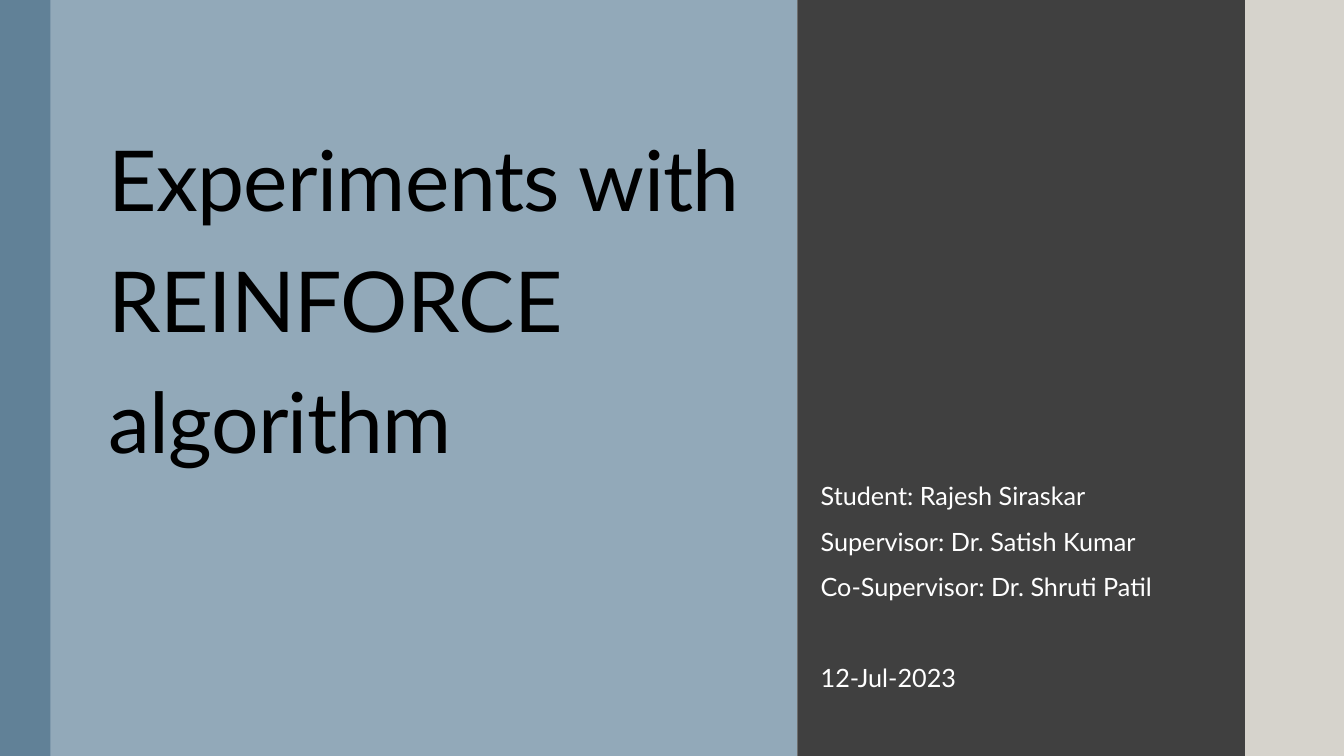
from dataclasses import dataclass, field

from pptx import Presentation
from pptx.dml.color import RGBColor
from pptx.enum.shapes import MSO_SHAPE as Preset
from pptx.enum.text import MSO_ANCHOR as Anchor, MSO_AUTO_SIZE as AutoSize
from pptx.slide import Slide
from pptx.util import Inches, Pt

PAGE_WIDTH, PAGE_HEIGHT = 13.33, 7.5
FONT = "Lato"


@dataclass
class Band:
    left: float
    right: float
    fill: str


@dataclass
class TextBlock:
    left: float
    top: float
    width: float
    height: float
    lines: list[str]
    size: float
    color: str
    line_spacing: float
    frame_format: dict = field(default_factory=dict)
    tracking: float = 0  # points
    last_gap: float = 0  # points above the last line


BANDS = [
    Band(0, 7.91, "92A9B9"),
    Band(0, 0.5, "618197"),
    Band(7.91, 12.35, "404040"),
    Band(12.35, PAGE_WIDTH, "D6D3CC"),
]

TITLE = TextBlock(
    0.98, 1.02, 6.63, 3.77,
    ["Experiments with REINFORCE algorithm"],
    60, "000000", 1.2, tracking=-0.5,
)

DETAILS = TextBlock(
    7.91, 4.57, 4.44, 2.32,
    [
        "Student: Rajesh Siraskar",
        "Supervisor: Dr. Satish Kumar",
        "Co-Supervisor: Dr. Shruti Patil",
        "12-Jul-2023",
    ],
    18, "FFFFFF", 1.5,
    frame_format={
        "margin_left": Inches(0.23),
        "auto_size": AutoSize.SHAPE_TO_FIT_TEXT,
    },
    last_gap=32.4,
)


def rgb(value: str) -> RGBColor:
    return RGBColor.from_string(value)


def apply_format(target: object, values: dict) -> None:
    for name, value in values.items():
        setattr(target, name, value)


def draw_band(page: Slide, band: Band) -> None:
    shape = page.shapes.add_shape(
        Preset.RECTANGLE, Inches(band.left), 0,
        Inches(band.right - band.left), Inches(PAGE_HEIGHT),
    )
    shape.shadow.inherit = False
    shape.fill.solid()
    shape.fill.fore_color.rgb = rgb(band.fill)
    shape.line.fill.background()


def draw_text(page: Slide, block: TextBlock) -> None:
    box = page.shapes.add_textbox(
        Inches(block.left), Inches(block.top),
        Inches(block.width), Inches(block.height),
    )
    frame = box.text_frame
    apply_format(frame, {
        "word_wrap": True, "vertical_anchor": Anchor.TOP, **block.frame_format,
    })
    for index, line in enumerate(block.lines):
        para = frame.add_paragraph() if index else frame.paragraphs[0]
        para.line_spacing = block.line_spacing
        span = para.add_run()
        span.text = line
        apply_format(span.font, {"name": FONT, "size": Pt(block.size)})
        span.font.color.rgb = rgb(block.color)
        if block.tracking:
            span._r.get_or_add_rPr().set("spc", str(round(block.tracking * 100)))
    if block.last_gap:
        frame.paragraphs[-1].space_before = Pt(block.last_gap)


def main() -> None:
    deck = Presentation()
    deck.slide_width, deck.slide_height = Inches(PAGE_WIDTH), Inches(PAGE_HEIGHT)
    page = deck.slides.add_slide(deck.slide_layouts[6])

    # Background and vertical bands
    page.background.fill.solid()
    page.background.fill.fore_color.rgb = rgb("DCD7CC")
    for band in BANDS:
        draw_band(page, band)

    # Title, then people and date
    for block in (TITLE, DETAILS):
        draw_text(page, block)

    deck.save("out.pptx")


if __name__ == "__main__":
    main()
